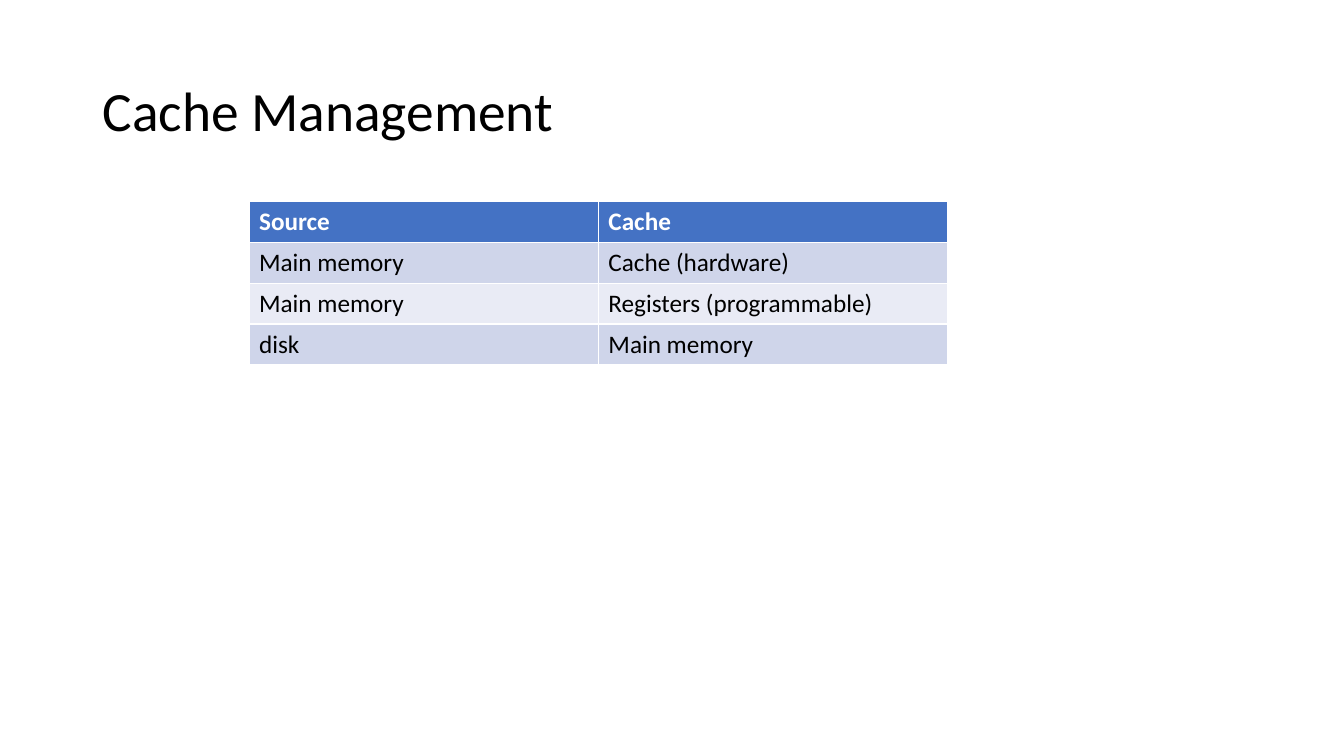
from pptx import Presentation
from pptx import util as u
from pptx.dml import color
from pptx.enum import text

TITLE = "Cache Management"
ROWS = [
    ("Source", "Cache"),
    ("Main memory", "Cache (hardware)"),
    ("Main memory", "Registers (programmable)"),
    ("disk", "Main memory"),
]
HEAD = "4472C4"
BANDS = ("E9EBF5", "CFD5EA")


def tint(hue):
    return color.RGBColor.from_string(hue)


def style(para, size, hue, bold=False):
    font = para.font
    font.name = "Calibri"
    font.size = u.Pt(size)
    font.bold = bold
    font.color.rgb = tint(hue)


def main():
    deck = Presentation()
    deck.slide_width, deck.slide_height = u.Inches(13.33), u.Inches(7.5)
    slide = deck.slides.add_slide(deck.slide_layouts[6])

    box = slide.shapes.add_textbox(*map(u.Inches, (0.92, 0.4, 11.5, 1.45)))
    frame = box.text_frame
    frame.word_wrap = True
    frame.vertical_anchor = text.MSO_ANCHOR.MIDDLE
    para = frame.paragraphs[0]
    para.text = TITLE
    para.line_spacing = 0.9
    style(para, 39.6, "000000")

    place = map(u.Inches, (2.47, 2, 6.93, 1.62))
    table = slide.shapes.add_table(len(ROWS), len(ROWS[0]), *place).table
    for r, row in enumerate(ROWS):
        head = r == 0
        for c, word in enumerate(row):
            cell = table.cell(r, c)
            cell.text = word
            cell.fill.solid()
            cell.fill.fore_color.rgb = tint(HEAD if head else BANDS[r % 2])
            style(cell.text_frame.paragraphs[0], 18,
                  "FFFFFF" if head else "000000", head)

    deck.save("out.pptx")


if __name__ == "__main__":
    main()
